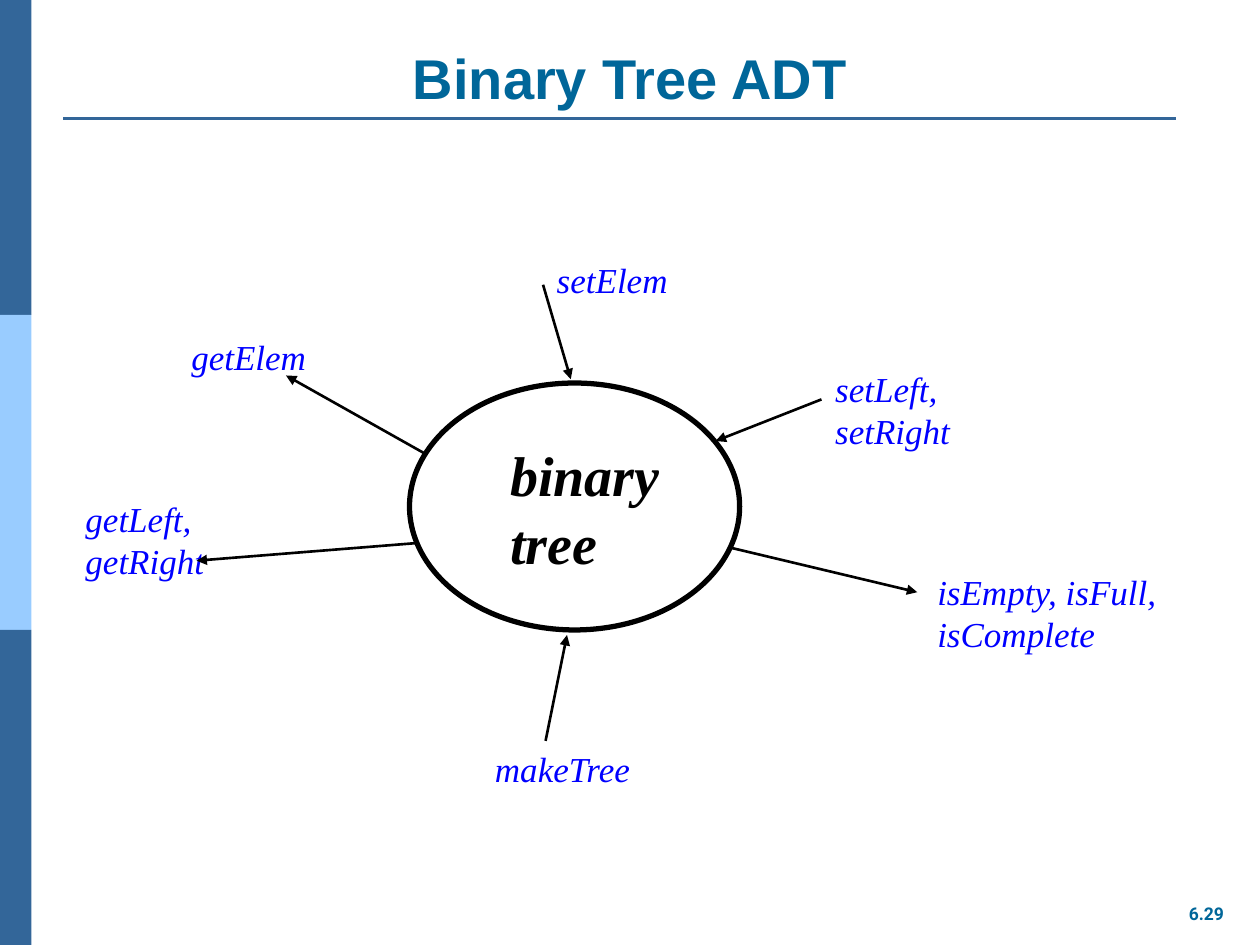
from lxml.etree import SubElement
from pptx import Presentation
from pptx.dml.color import RGBColor
from pptx.enum.shapes import MSO_CONNECTOR as Link, MSO_SHAPE as Kind
from pptx.enum.text import MSO_ANCHOR as Anchor, PP_ALIGN as Align
from pptx.oxml.ns import qn
from pptx.util import Inches, Pt

WIDE, HIGH = 10, 7.5
COLORS = {"bar": "336699", "light": "99CCFF", "title": "006699",
          "ink": "000000", "label": "0000FF"}
SERIF = "Times New Roman"
BARS = ["bar", "light", "bar"]
TREE = (3.25, 3.04, 2.62, 1.96)
NAME = (["binary", "tree"], (3.95, 3.45, 1.39, 1.17))

# Operations: lines, label box, arrow start, arrow tip
OPS = [
    (["setElem"], (4.32, 2, 1.08, 0.43), (4.31, 2.26), (4.53, 3.01)),
    (["setLeft,", "setRight"], (6.53, 2.87, 1.99, 0.77), (6.52, 3.17), (5.68, 3.5)),
    (["isEmpty, isFull,", "isComplete"], (7.34, 4.48, 2.02, 0.77),
     (5.81, 4.35), (7.28, 4.7)),
    (["makeTree"], (3.83, 5.88, 1.3, 0.43), (4.33, 5.88), (4.5, 5.04)),
    (["getLeft,", "getRight"], (0.58, 3.9, 2.05, 0.77), (3.31, 4.31), (1.56, 4.45)),
    (["getElem"], (1.42, 2.61, 1.11, 0.43), (3.39, 3.61), (2.27, 2.98)),
]

prs = Presentation()
prs.slide_width, prs.slide_height = Inches(WIDE), Inches(HIGH)
slide = prs.slides.add_slide(prs.slide_layouts[5])
shapes = slide.shapes


def tint(name):
    return RGBColor.from_string(COLORS[name])


def inch(nums):
    return [Inches(n) for n in nums]


def style(par, face, size, color, bold=False, italic=False):
    font = par.font
    font.name, font.size, font.bold, font.italic = face, Pt(size), bold, italic
    font.color.rgb = tint(color)


def write(lines, box, *look):
    frame = shapes.add_textbox(*inch(box)).text_frame
    frame.word_wrap = True
    frame.text = "\n".join(lines)
    for par in frame.paragraphs:
        style(par, *look)
    return frame


def draw(start, end, color, arrow=False):
    line = shapes.add_connector(Link.STRAIGHT, *inch(start + end))
    line.line.color.rgb, line.line.width = tint(color), Pt(1.5)
    if arrow:
        SubElement(line.line._get_or_add_ln(), qn("a:tailEnd"), type="triangle")
    SubElement(line._element.spPr, qn("a:effectLst"))


step = HIGH / len(BARS)
for row, color in enumerate(BARS):
    bar = shapes.add_shape(Kind.RECTANGLE, *inch((0, row * step, 0.25, step)))
    bar.shadow.inherit = False
    bar.fill.solid()
    bar.fill.fore_color.rgb = tint(color)
    bar.line.fill.background()
draw((0.5, 0.94), (9.33, 0.94), "bar")

title = shapes.title
title.left, title.top, title.width, title.height = inch((0.5, 0.3, 9, 0.63))
title.text = "Binary Tree ADT"
title.text_frame.vertical_anchor = Anchor.BOTTOM
head = title.text_frame.paragraphs[0]
head.alignment = Align.CENTER
style(head, "Arial", 32, "title", True)

page = write(["6.29"], (9.33, 7.12, 0.49, 0.27), "Roboto", 10, "title", True)
page.margin_left = page.margin_right = 0
page.paragraphs[0].alignment = Align.CENTER

write(*NAME, SERIF, 32, "ink", True, True)
oval = shapes.add_shape(Kind.OVAL, *inch(TREE))
oval.shadow.inherit = False
oval.fill.background()
oval.line.color.rgb, oval.line.width = tint("ink"), Pt(3)

for lines, box, start, tip in OPS:
    write(lines, box, SERIF, 20, "label", False, True)
    draw(start, tip, "ink", True)

prs.save("out.pptx")
